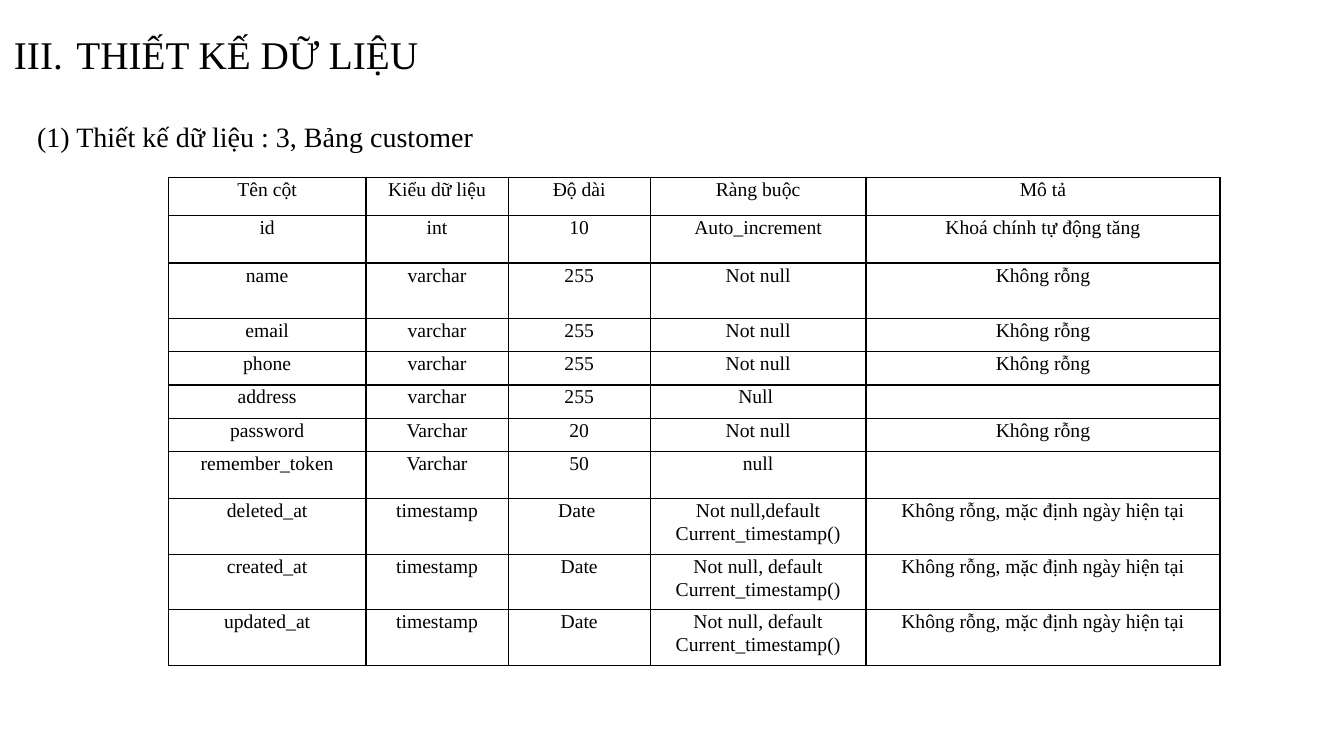
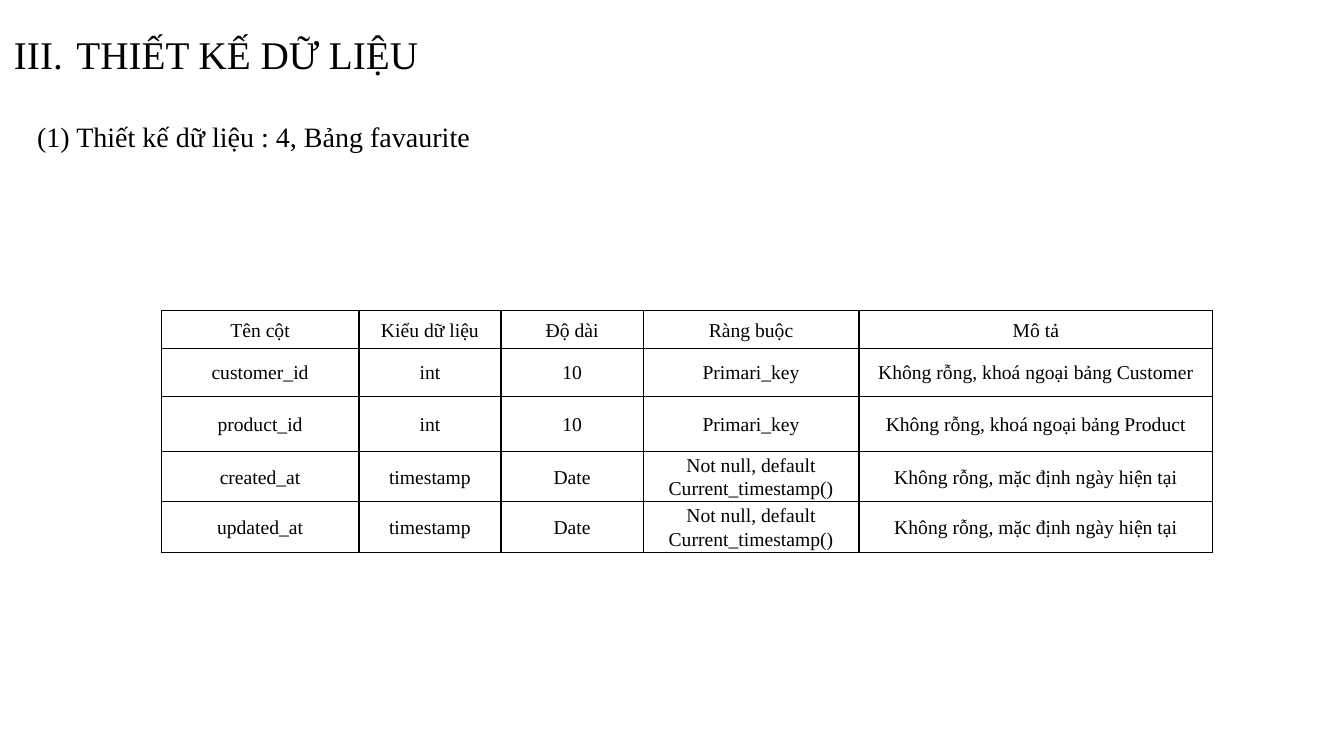
from dataclasses import dataclass

from lxml.etree import SubElement
from pptx import Presentation
from pptx.dml.color import RGBColor
from pptx.enum.text import MSO_ANCHOR as Anchor, PP_ALIGN as Align
from pptx.oxml.ns import qn
from pptx.util import Inches, Pt


@dataclass(frozen=True)
class Theme:
    font: str = "Times New Roman"
    ink: str = "000000"
    paper: str = "FFFFFF"
    title_size: int = 28
    subtitle_size: int = 20
    table_size: int = 14
    border_width: int = 1


COLUMN_WIDTHS = (1.96, 1.41, 1.41, 2.14, 3.51)
HEADER = ("Tên cột", "Kiểu dữ liệu", "Độ dài", "Ràng buộc", "Mô tả")
NOT_EMPTY = "Không rỗng"
TODAY = "Không rỗng, mặc định ngày hiện tại"
TIME_ROWS = [
    (name, "timestamp", "Date", "Not null, default Current_timestamp()", TODAY)
    for name in ("created_at", "updated_at")
]
CUSTOMER_ROWS = [
    HEADER,
    ("id", "int", "10", "Auto_increment", "Khoá chính tự động tăng"),
    ("name", "varchar", "255", "Not null", NOT_EMPTY),
    ("email", "varchar", "255", "Not null", NOT_EMPTY),
    ("phone", "varchar", "255", "Not null", NOT_EMPTY),
    ("address", "varchar", "255", "Null ", ""),
    ("password", "Varchar", "20", "Not null", NOT_EMPTY),
    ("remember_token", "Varchar", "50", "null", ""),
    ("deleted_at", "timestamp", "Date ", "Not null,default Current_timestamp()", TODAY),
    *TIME_ROWS,
]
FAVOURITE_ROWS = [
    HEADER,
    ("customer_id", "int", "10", "Primari_key", "Không rỗng, khoá ngoại bảng Customer"),
    ("product_id", "int", "10", "Primari_key", "Không rỗng, khoá ngoại bảng Product"),
    *TIME_ROWS,
]


class Deck:
    def __init__(self, theme):
        self.theme = theme
        self.presentation = Presentation()
        self.presentation.slide_width = Inches(13.33)
        self.presentation.slide_height = Inches(7.5)
        self.slide = None

    def add_slide(self, subtitle):
        """Start a slide with the shared section title and its own subtitle."""
        self.slide = self.presentation.slides.add_slide(self.presentation.slide_layouts[6])
        background = self.slide.background.fill
        background.solid()
        background.fore_color.rgb = RGBColor.from_string(self.theme.paper)
        self.add_title("THIẾT KẾ DỮ LIỆU")
        self.add_subtitle(f"(1) Thiết kế dữ liệu : {subtitle}")

    def style(self, paragraph, size, line_spacing):
        paragraph.line_spacing = line_spacing
        font = paragraph.font
        font.name = self.theme.font
        font.size = Pt(size)
        font.color.rgb = RGBColor.from_string(self.theme.ink)

    def add_text(self, text, left, top, width, height, anchor):
        """Add a wrapping text box and return its paragraph."""
        shape = self.slide.shapes.add_textbox(
            Inches(left), Inches(top), Inches(width), Inches(height))
        frame = shape.text_frame
        frame.word_wrap = True
        frame.vertical_anchor = anchor
        frame.margin_left = frame.margin_right = Inches(0.1)
        frame.margin_top = frame.margin_bottom = Inches(0.1)
        frame.text = text
        return frame.paragraphs[0]

    def add_title(self, text):
        paragraph = self.add_text(text, 0.04, 0, 11.5, 1.12, Anchor.MIDDLE)
        properties = paragraph._p.get_or_add_pPr()
        properties.set("marL", str(Inches(0.62)))
        properties.set("indent", str(-Inches(0.62)))
        bullet_color = SubElement(properties, qn("a:buClr"))
        SubElement(bullet_color, qn("a:srgbClr"), val=self.theme.ink)
        SubElement(properties, qn("a:buFont"), typeface=self.theme.font)
        SubElement(properties, qn("a:buAutoNum"), type="romanUcPeriod", startAt="3")
        self.style(paragraph, self.theme.title_size, 0.9)

    def add_subtitle(self, text):
        paragraph = self.add_text(text, 0.08, 0.92, 13.07, 5.94, Anchor.TOP)
        paragraph._p.get_or_add_pPr().set("marL", str(Inches(0.19)))
        self.style(paragraph, self.theme.subtitle_size, 1.5)

    def add_table(self, rows, row_heights, left, top, anchor):
        table = self.slide.shapes.add_table(
            len(rows), len(COLUMN_WIDTHS), Inches(left), Inches(top),
            Inches(sum(COLUMN_WIDTHS)), Inches(sum(row_heights))).table
        table.first_row = table.horz_banding = False
        for column, width in zip(table.columns, COLUMN_WIDTHS):
            column.width = Inches(width)
        for row, height, texts in zip(table.rows, row_heights, rows):
            row.height = Inches(height)
            for cell, text in zip(row.cells, texts):
                self.fill_cell(cell, text, anchor)

    def fill_cell(self, cell, text, anchor):
        cell.text = text
        cell.vertical_anchor = anchor
        cell.margin_left = cell.margin_right = Inches(0.07)
        cell.margin_top = cell.margin_bottom = 0
        paragraph = cell.text_frame.paragraphs[0]
        paragraph.alignment = Align.CENTER
        self.style(paragraph, self.theme.table_size, 1.07)
        self.add_borders(cell)
        cell.fill.background()

    def add_borders(self, cell):
        properties = cell._tc.get_or_add_tcPr()
        for side in ("lnL", "lnR", "lnT", "lnB"):
            line = SubElement(properties, qn(f"a:{side}"), w=str(Pt(self.theme.border_width)))
            fill = SubElement(line, qn("a:solidFill"))
            SubElement(fill, qn("a:srgbClr"), val=self.theme.ink)


def main():
    deck = Deck(Theme())
    deck.add_slide("3, Bảng customer")
    customer_heights = [0.38, 0.47, 0.55] + [0.33] * 4 + [0.47] + [0.55] * 3
    deck.add_table(CUSTOMER_ROWS, customer_heights, 1.67, 1.76, Anchor.TOP)
    deck.add_slide("4, Bảng favaurite")
    deck.add_table(FAVOURITE_ROWS, [0.38, 0.47, 0.55, 0.47, 0.47], 1.6, 3.08, Anchor.MIDDLE)
    deck.presentation.save("out.pptx")


if __name__ == "__main__":
    main()
